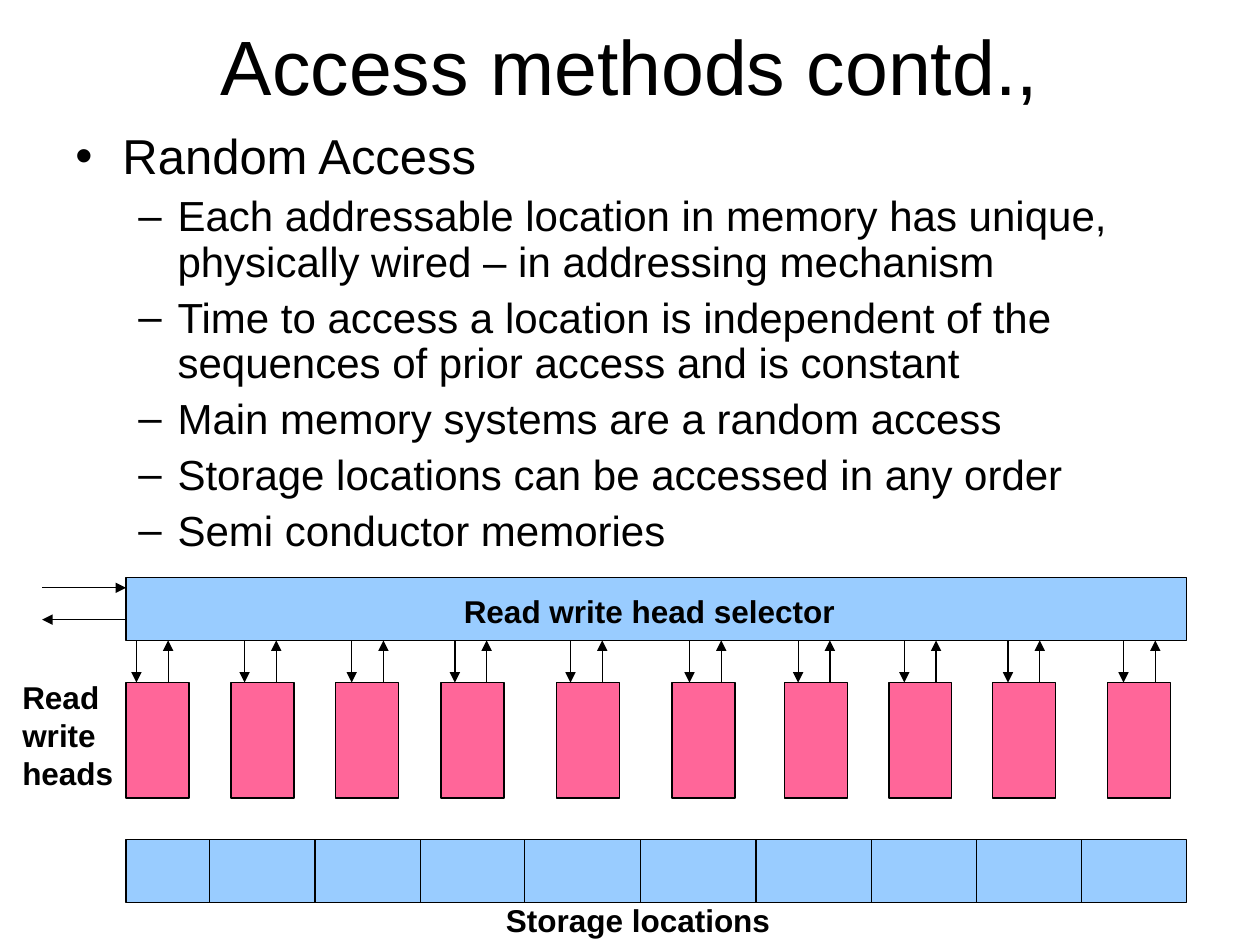
import pptx
import pptx.util
import pptx.dml.color
import pptx.enum.shapes
import pptx.enum.text
import pptx.oxml
import pptx.oxml.ns
from pptx.util import Cm

BLACK = "000000"
BLUE = "99CCFF"
PINK = "FF6699"

BAR_LEFT, BAR_WIDTH, BAR_HEIGHT = 2.54, 21.38, 1.27
SELECTOR_TOP, HEAD_TOP, STORAGE_TOP = 11.64, 13.76, 16.93
HEAD_WIDTH, HEAD_HEIGHT = 1.27, 2.33
ARROW_GAP = 0.64

HEAD_LEFTS = [2.54, 4.66, 6.77, 8.89, 11.22, 13.55, 15.81, 17.92, 20.01, 22.33]
ARROW_LEFTS = [2.75, 4.93, 7.09, 9.17, 11.5, 13.9, 16.09, 18.23, 20.32, 22.65]
DIVIDERS = [4.23, 6.35, 8.47, 10.58, 12.91, 15.24, 17.57, 19.69, 21.8]

TOPIC = "Random Access"
POINTS = [
    "Each addressable location in memory has unique, physically wired – in addressing mechanism",
    "Time to access a location is independent of the sequences of prior access and is constant",
    "Main memory systems are a random access",
    "Storage locations can be accessed in any order",
    "Semi conductor memories",
]


def color(value):
    return pptx.dml.color.RGBColor.from_string(value)


def add_element(parent, tag, **attributes):
    element = pptx.oxml.parse_xml(f"<a:{tag} {pptx.oxml.ns.nsdecls('a')}/>")
    for name, value in attributes.items():
        element.set(name, str(value))
    parent.append(element)


def set_font(para, size, bold=False):
    para.font.name = "Arial"
    para.font.size = pptx.util.Pt(size)
    para.font.bold = bold
    para.font.color.rgb = color(BLACK)


def fill_title(page, text):
    title = page.shapes.title
    title.left, title.top, title.width, title.height = Cm(1.27), Cm(0.2), Cm(22.86), Cm(2.21)
    frame = title.text_frame
    frame.text = text
    frame.auto_size = pptx.enum.text.MSO_AUTO_SIZE.NONE
    frame.vertical_anchor = pptx.enum.text.MSO_ANCHOR.MIDDLE
    para = frame.paragraphs[0]
    para.alignment = pptx.enum.text.PP_ALIGN.CENTER
    set_font(para, 44)


def add_box(page, left, top, width, height, wrap=True):
    box = page.shapes.add_textbox(Cm(left), Cm(top), Cm(width), Cm(height))
    box.text_frame.word_wrap = wrap
    return box.text_frame


def add_label(page, text, left, top, width, height, wrap=True):
    para = add_box(page, left, top, width, height, wrap).paragraphs[0]
    para.text = text
    set_font(para, 18, bold=True)


def format_bullet(para, text, mark, size, margin, hanging):
    para.text = text
    properties = para._p.get_or_add_pPr()
    properties.set("marL", str(Cm(margin)))
    properties.set("indent", str(-Cm(hanging)))
    add_element(properties, "buFont", typeface="Arial")
    add_element(properties, "buChar", char=mark)
    para.line_spacing = 0.9
    set_font(para, size)


def add_bullets(page):
    frame = add_box(page, 1.27, 2.54, 22.86, 8.97)
    format_bullet(frame.paragraphs[0], TOPIC, "•", 28, 0.95, 0.95)
    for point in POINTS:
        para = frame.add_paragraph()
        para.level = 1
        format_bullet(para, point, "–", 24, 2.06, 0.79)
        para.space_before = pptx.util.Pt(6)


def add_block(page, left, top, width, height, fill):
    block = page.shapes.add_shape(
        pptx.enum.shapes.MSO_SHAPE.RECTANGLE, Cm(left), Cm(top), Cm(width), Cm(height)
    )
    block.shadow.inherit = False
    block.fill.solid()
    block.fill.fore_color.rgb = color(fill)
    block.line.color.rgb = color(BLACK)
    block.line.width = pptx.util.Pt(0.75)


def add_line(page, start, end, arrow=False):
    line = page.shapes.add_connector(
        pptx.enum.shapes.MSO_CONNECTOR.STRAIGHT, *map(Cm, start), *map(Cm, end)
    )
    line.line.color.rgb = color(BLACK)
    line.line.width = pptx.util.Pt(0.75)
    if arrow:
        add_element(line.line._get_or_add_ln(), "tailEnd", type="triangle")
    add_element(line._element.spPr, "effectLst")


def add_heads(page):
    selector_bottom = SELECTOR_TOP + BAR_HEIGHT
    for left in HEAD_LEFTS:
        add_block(page, left, HEAD_TOP, HEAD_WIDTH, HEAD_HEIGHT, PINK)
    for down in ARROW_LEFTS:
        up = down + ARROW_GAP
        add_line(page, (down, selector_bottom), (down, HEAD_TOP), arrow=True)
        add_line(page, (up, HEAD_TOP), (up, selector_bottom), arrow=True)


def add_storage(page):
    add_block(page, BAR_LEFT, STORAGE_TOP, BAR_WIDTH, BAR_HEIGHT, BLUE)
    for left in DIVIDERS:
        add_line(page, (left, STORAGE_TOP), (left, STORAGE_TOP + BAR_HEIGHT))


def main():
    deck = pptx.Presentation()
    deck.slide_width, deck.slide_height = Cm(25.4), Cm(19.05)
    page = deck.slides.add_slide(deck.slide_layouts.get_by_name("Title Only"))
    fill_title(page, "Access methods contd.,")
    add_bullets(page)
    add_block(page, BAR_LEFT, SELECTOR_TOP, BAR_WIDTH, BAR_HEIGHT, BLUE)
    add_heads(page)
    add_storage(page)
    add_label(page, "Read write heads", 0.2, 13.55, 3, 2.54)
    add_label(page, "Read write head selector", 9.1, 11.82, 14.6, 1.02)
    add_line(page, (0.85, 11.85), (BAR_LEFT, 11.85), arrow=True)
    add_line(page, (BAR_LEFT, 12.49), (0.85, 12.49), arrow=True)
    add_label(page, "Storage locations", 9.95, 18.03, 5.84, 1.02, wrap=False)
    deck.save("out.pptx")


if __name__ == "__main__":
    main()
